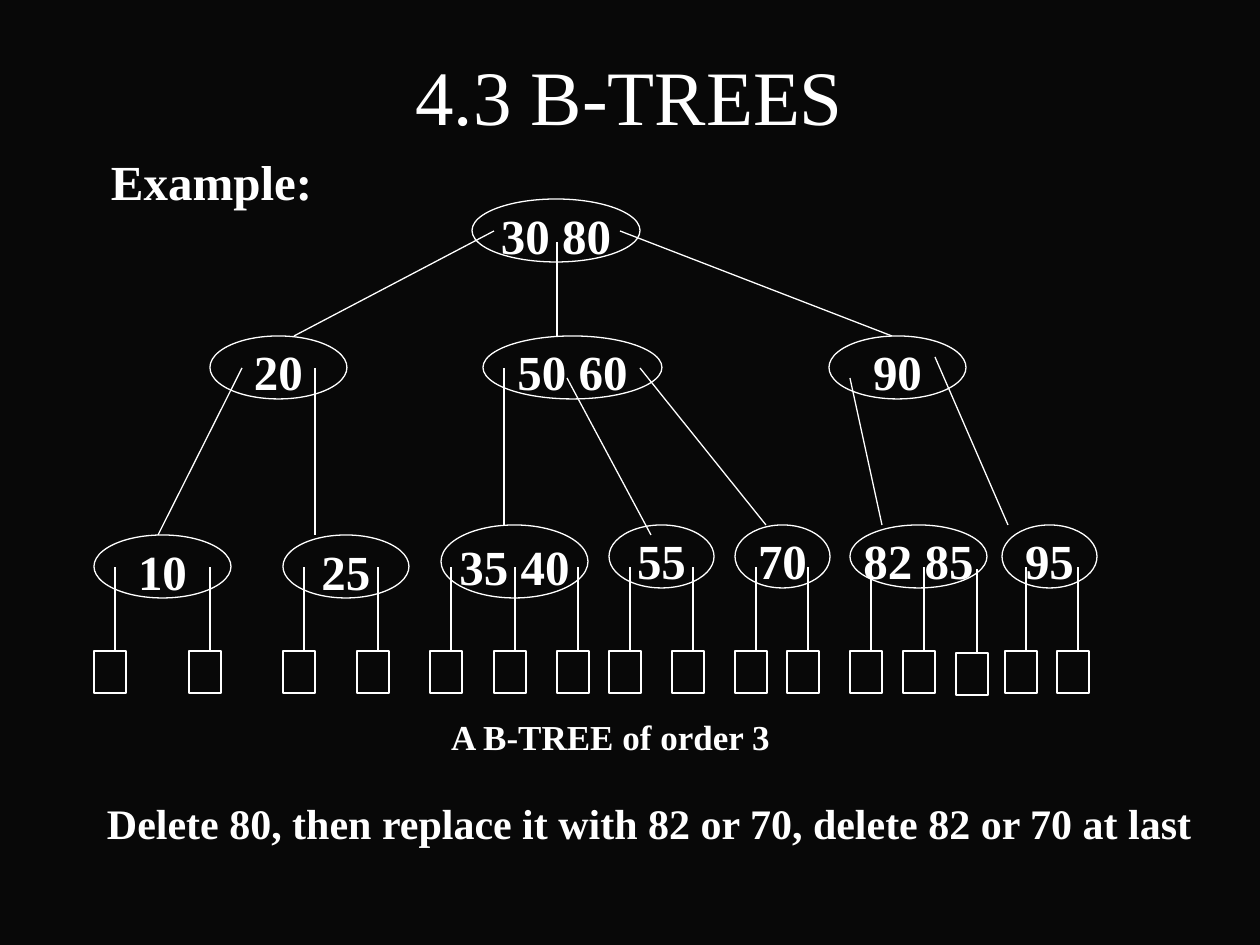
"""Build a slide showing a B-tree of order 3 and a deletion note."""
from dataclasses import dataclass

from lxml.etree import SubElement
from pptx import Presentation
from pptx.dml.color import RGBColor
from pptx.enum.shapes import MSO_CONNECTOR, MSO_SHAPE
from pptx.enum.text import MSO_ANCHOR, PP_ALIGN
from pptx.oxml.ns import qn
from pptx.util import Emu, Pt


@dataclass(frozen=True)
class Theme:
    font: str = "Times New Roman"
    back: RGBColor = RGBColor(0x08, 0x08, 0x08)
    ink: RGBColor = RGBColor(0xFF, 0xFF, 0xFF)
    title: int = 44
    key: int = 28
    note: int = 24
    caption: int = 20
    line: float = 0.75


theme = Theme()
SCALE = 914400 / 126


def px(*values):
    return [Emu(round(v * SCALE)) for v in values]


def write(sp, text, size, bold=True, align=PP_ALIGN.LEFT, anchor=MSO_ANCHOR.TOP, wrap=True, top=6):
    tf = sp.text_frame
    tf.word_wrap = wrap
    tf.vertical_anchor = anchor
    tf.margin_left, tf.margin_top, tf.margin_right, tf.margin_bottom = px(13, top, 13, 6)
    p = tf.paragraphs[0]
    p.alignment = align
    r = p.add_run()
    r.text = text
    r.font.name, r.font.size, r.font.bold = theme.font, Pt(size), bold
    r.font.color.rgb = theme.ink


prs = Presentation()
prs.slide_width, prs.slide_height = px(1260, 945)
s = prs.slides.add_slide(prs.slide_layouts[6])
s.background.fill.solid()
s.background.fill.fore_color.rgb = theme.back
shapes = s.shapes

write(shapes.add_textbox(*px(94, 32, 1071, 126)), "4.3 B-TREES", theme.title,
      bold=False, align=PP_ALIGN.CENTER, anchor=MSO_ANCHOR.MIDDLE)
write(shapes.add_textbox(*px(98, 145, 1057, 68)), "Example:", theme.key)
write(shapes.add_textbox(*px(94, 792, 1131, 63)),
      "Delete 80, then replace it with 82 or 70, delete 82 or 70 at last", theme.note)
write(shapes.add_textbox(*px(438, 709, 348, 55)), "A B-TREE of order 3", theme.caption, wrap=False)

nodes = [
    ("30 80", 472, 199, 168, 63),
    ("20", 210, 336, 137, 63),
    ("50 60", 483, 336, 179, 63),
    ("90", 829, 336, 137, 63),
    ("10", 94, 535, 137, 63),
    ("25", 283, 535, 126, 63),
    ("35 40", 441, 525, 147, 73),
    ("55", 609, 525, 105, 63),
    ("70", 735, 525, 95, 63),
    ("82 85", 850, 525, 137, 63),
    ("95", 1002, 525, 95, 63),
]
edges = [
    (494, 231, 294, 336), (557, 242, 557, 336), (620, 231, 892, 336),
    (242, 368, 158, 535), (315, 368, 315, 535),
    (504, 368, 504, 525), (567, 378, 651, 535), (640, 368, 766, 525),
    (850, 378, 882, 525), (935, 357, 1008, 525),
]
leaves = [(x, 651) for x in (94, 189, 283, 357, 430, 494, 557, 609, 672, 735, 787, 850, 903)]
leaves += [(956, 653), (1005, 651), (1057, 651)]
edges += [(x + 21, y - 84, x + 21, y) for x, y in leaves]

outlines = [(MSO_SHAPE.OVAL, box, keys) for keys, *box in nodes]
outlines += [(MSO_SHAPE.RECTANGLE, (x, y, 32, 42), "") for x, y in leaves]
for kind, box, keys in outlines:
    sp = shapes.add_shape(kind, *px(*box))
    sp.shadow.inherit = False
    sp.fill.background()
    sp.line.color.rgb = theme.ink
    sp.line.width = Pt(theme.line)
    if keys:
        write(sp, keys, theme.key, align=PP_ALIGN.CENTER, anchor=MSO_ANCHOR.MIDDLE,
              wrap=False, top=14)

for ends in edges:
    cxn = shapes.add_connector(MSO_CONNECTOR.STRAIGHT, *px(*ends))
    cxn.line.color.rgb = theme.ink
    cxn.line.width = Pt(theme.line)
    SubElement(cxn._element.spPr, qn("a:effectLst"))

prs.save("out.pptx")
